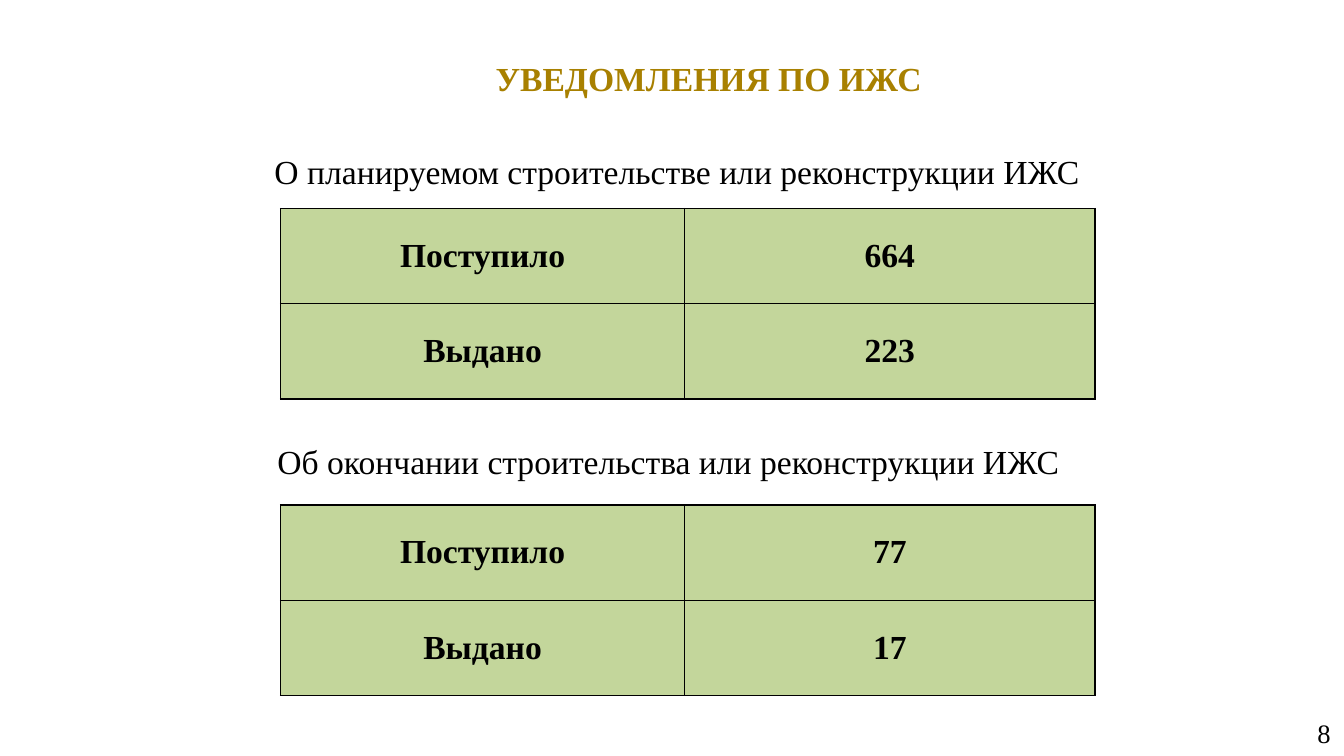
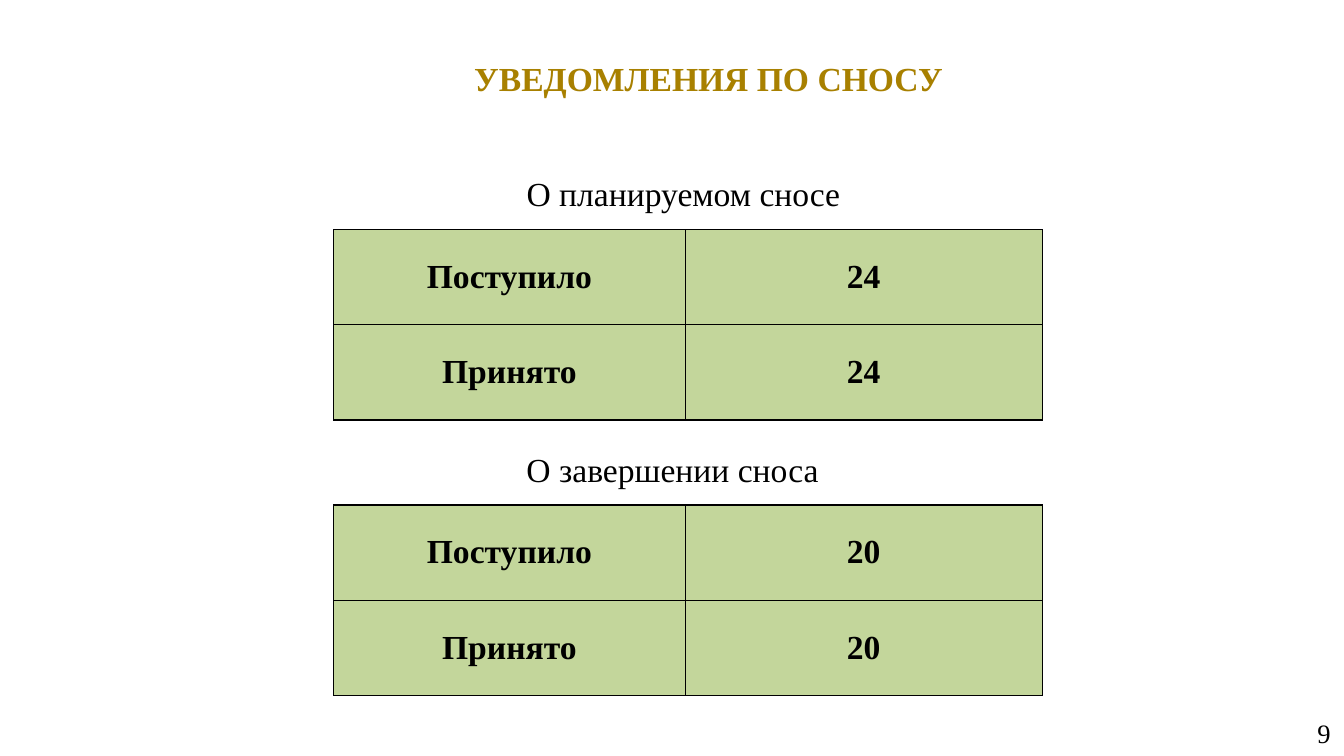
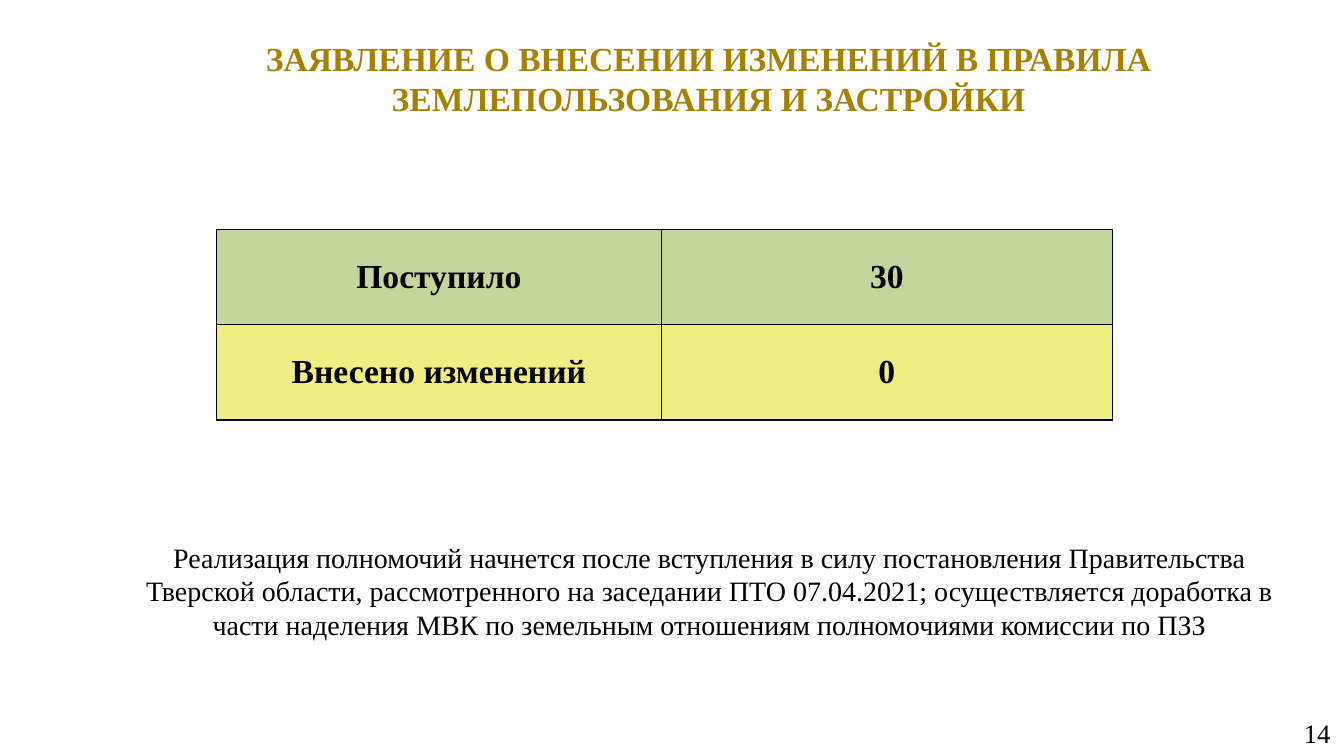
"""Build three slides of planning notification counts."""
from dataclasses import dataclass

from lxml.etree import SubElement
from pptx import Presentation
from pptx.dml.color import RGBColor
from pptx.enum.text import MSO_ANCHOR, PP_ALIGN
from pptx.oxml.ns import qn
from pptx.slide import Slide
from pptx.util import Pt


@dataclass(frozen=True)
class Theme:
    font: str = "Times New Roman"
    title: str = "A88000"
    text: str = "000000"
    green: str = "C3D69B"
    yellow: str = "EEEE84"
    main_size: float = 24
    note_size: float = 20
    page_size: float = 19
    border: float = 1
    inset_x: float = 9.6
    inset_y: float = 4.8
    row_height: float = 68
    label_share: float = 0.496


@dataclass(frozen=True)
class Box:
    left: float
    top: float
    width: float
    height: float


@dataclass(frozen=True)
class Label:
    text: str
    box: Box
    size: float
    align: PP_ALIGN = PP_ALIGN.LEFT
    color: str = "000000"
    bold: bool = False


@dataclass(frozen=True)
class Row:
    name: str
    count: int
    fill: str


@dataclass(frozen=True)
class Grid:
    left: float
    top: float
    width: float
    rows: tuple[Row, ...]


@dataclass(frozen=True)
class Page:
    number: int
    title: str
    labels: tuple[Label, ...]
    grids: tuple[Grid, ...]


THEME = Theme()
TITLE_BOX = Box(94.4, 20, 823.6, 72)
NUMBER_BOX = Box(736, 509, 224, 28.8)


def caption(text: str, left: float, top: float, width: float, height: float = 38.8) -> Label:
    return Label(text, Box(left, top, width, height), THEME.main_size)


def counts(left: float, top: float, width: float, received: int, outcome: str,
           done: int, fill: str = THEME.green) -> Grid:
    rows = Row("Поступило", received, THEME.green), Row(outcome, done, fill)
    return Grid(left, top, width, rows)


PAGES = (
    Page(8, "УВЕДОМЛЕНИЯ ПО ИЖС",
         (caption("О планируемом строительстве или реконструкции ИЖС", 186.5, 103, 640),
          caption("Об окончании строительства или реконструкции ИЖС", 188.6, 304, 582.5, 51)),
         (counts(200.4, 149, 581.8, 664, "Выдано", 223),
          counts(200.4, 360.7, 581.8, 77, "Выдано", 17))),
    Page(9, "УВЕДОМЛЕНИЯ ПО СНОСУ",
         (caption("О планируемом сносе", 366.5, 118.8, 250),
          caption("О завершении сноса", 366.5, 315.4, 233.4)),
         (counts(238.3, 164, 506.2, 24, "Принято", 24),
          counts(238.3, 360.7, 506.2, 20, "Принято", 20))),
    Page(14, "ЗАЯВЛЕНИЕ О ВНЕСЕНИИ ИЗМЕНЕНИЙ В ПРАВИЛА ЗЕМЛЕПОЛЬЗОВАНИЯ И ЗАСТРОЙКИ",
         (Label("Реализация полномочий начнется после вступления в силу постановления "
                "Правительства Тверской области, рассмотренного на заседании ПТО 07.04.2021; "
                "осуществляется доработка в части наделения МВК по земельным отношениям "
                "полномочиями комиссии по ПЗЗ",
                Box(72.7, 358, 868.3, 128), THEME.note_size, PP_ALIGN.CENTER),),
         (counts(154.8, 164, 640, 30, "Внесено изменений", 0, THEME.yellow),)),
)


def set_insets(target) -> None:
    target.margin_left = target.margin_right = Pt(THEME.inset_x)
    target.margin_top = target.margin_bottom = Pt(THEME.inset_y)
    target.vertical_anchor = MSO_ANCHOR.MIDDLE


def write(tf, text: str, size: float, align: PP_ALIGN, color: str, bold: bool) -> None:
    p = tf.paragraphs[0]
    p.text = text
    p.alignment = align
    p.font.name = THEME.font
    p.font.size = Pt(size)
    p.font.bold = bold
    p.font.color.rgb = RGBColor.from_string(color)


def add_label(s: Slide, label: Label) -> None:
    b = label.box
    tf = s.shapes.add_textbox(Pt(b.left), Pt(b.top), Pt(b.width), Pt(b.height)).text_frame
    tf.word_wrap = True
    set_insets(tf)
    write(tf, label.text, label.size, label.align, label.color, label.bold)


def add_borders(cell) -> None:
    tc_pr = cell._tc.get_or_add_tcPr()
    for side in ("a:lnL", "a:lnR", "a:lnT", "a:lnB"):
        ln = SubElement(tc_pr, qn(side), w=str(Pt(THEME.border)))
        fill = SubElement(ln, qn("a:solidFill"))
        SubElement(fill, qn("a:srgbClr"), val=THEME.text)


def add_grid(s: Slide, grid: Grid) -> None:
    n = len(grid.rows)
    table = s.shapes.add_table(n, 2, Pt(grid.left), Pt(grid.top), Pt(grid.width),
                               Pt(n * THEME.row_height)).table
    table.first_row = table.horz_banding = False
    for column, share in zip(table.columns, (THEME.label_share, 1 - THEME.label_share)):
        column.width = Pt(grid.width * share)
    for table_row, row in zip(table.rows, grid.rows):
        table_row.height = Pt(THEME.row_height)
        for cell, text in zip(table_row.cells, (row.name, str(row.count))):
            set_insets(cell)
            add_borders(cell)
            cell.fill.solid()
            cell.fill.fore_color.rgb = RGBColor.from_string(row.fill)
            write(cell.text_frame, text, THEME.main_size, PP_ALIGN.CENTER, THEME.text, True)


def add_page(prs, page: Page) -> None:
    s = prs.slides.add_slide(prs.slide_layouts[6])
    add_label(s, Label(page.title, TITLE_BOX, THEME.main_size, PP_ALIGN.CENTER,
                       THEME.title, True))
    add_label(s, Label(str(page.number), NUMBER_BOX, THEME.page_size, PP_ALIGN.RIGHT))
    for grid in page.grids:
        add_grid(s, grid)
    for label in page.labels:
        add_label(s, label)


def main() -> None:
    prs = Presentation()
    prs.slide_width, prs.slide_height = Pt(960), Pt(540)
    for page in PAGES:
        add_page(prs, page)
    prs.save("out.pptx")


if __name__ == "__main__":
    main()
